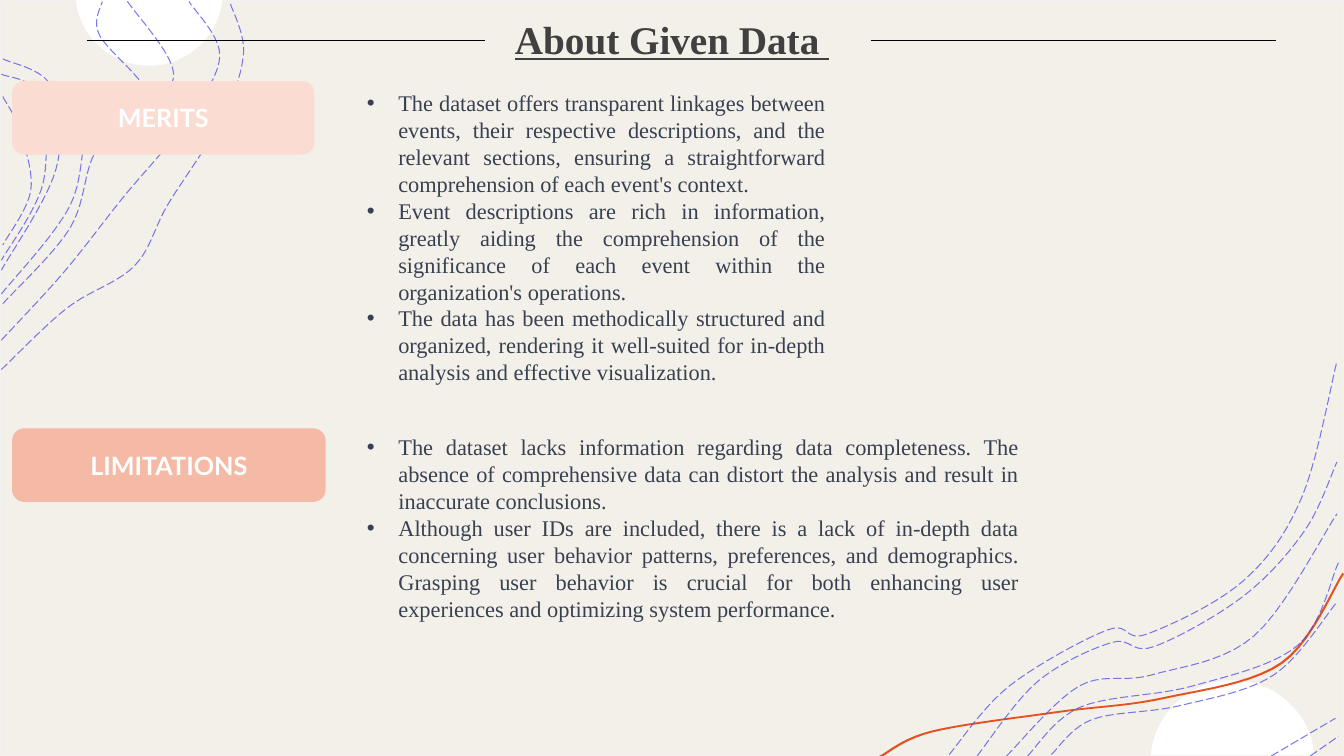
"""Build the slide on merits and limitations of the given data."""
from math import atan2, cos, pi, sin

from lxml.etree import SubElement
from pptx import Presentation
from pptx.dml.color import RGBColor
from pptx.enum.dml import MSO_LINE
from pptx.enum.shapes import MSO_CONNECTOR, MSO_SHAPE
from pptx.enum.text import MSO_ANCHOR, MSO_AUTO_SIZE, PP_ALIGN
from pptx.oxml.ns import qn
from pptx.util import Pt

WIDTH, HEIGHT = 960, 540
SERIF, SANS = "Times New Roman", "Lato"
COLORS = {
    "paper": "F3F0E9", "edge": "F2F2F2", "white": "FFFFFF", "black": "000000",
    "ribbon": "E45221", "contour": "4D4EE6", "title": "404040", "body": "374151",
    "merits": "FADCD3", "limitations": "F4BAA6",
}
TITLE = "About Given Data "
TITLE_BOX = (18, 15, 924, 52)
LABELS = [
    ("MERITS", "merits", (8.64, 57.9, 216, 52.5)),
    ("LIMITATIONS", "limitations", (8.64, 306, 224, 52.5)),
]
LISTS = [
    ([
        "The dataset offers transparent linkages between events, their respective descriptions, "
        "and the relevant sections, ensuring a straightforward comprehension of each event's context.",
        "Event descriptions are rich in information, greatly aiding the comprehension of the "
        "significance of each event within the organization's operations.",
        "The data has been methodically structured and organized, rendering it well-suited for "
        "in-depth analysis and effective visualization.",
    ], (262, 64, 327.6, 242.6), (0, 0)),
    ([
        "The dataset lacks information regarding data completeness. The absence of comprehensive "
        "data can distort the analysis and result in inaccurate conclusions.",
        "Although user IDs are included, there is a lack of in-depth data concerning user behavior "
        "patterns, preferences, and demographics. Grasping user behavior is crucial for both "
        "enhancing user experiences and optimizing system performance.",
    ], (254.9, 306, 480.2, 143.3), (7.2, 3.6)),
]
RULES = [(346.3, 62), (622, 911.5)]
RULE_TOP = 28.8
DISCS = [(106.5, 0, 52.3, 47), (880.5, 539.5, 58.5, -53.5)]
RIBBON = [(628, 540), (665, 522), (755, 508), (831, 498), (915, 473), (959, 409)]
RIBBON_SHIFT = (1, 1.2)
CONTOURS = [
    [(1, 264), (48, 220), (96, 190), (120, 146), (158, 86), (174, 38), (164, 1)],
    [(1, 243), (46, 194), (88, 141), (132, 88), (157, 40), (135, 1)],
    [(91, 1), (124, 52), (98, 86), (68, 109), (50, 163), (2, 217)],
    [(1, 210), (50, 147), (66, 83), (105, 68), (71, 25), (73, 1)],
    [(2, 42), (37, 62), (40, 121), (1, 193)],
    [(1, 53), (27, 68), (31, 130), (1, 186)],
    [(2, 69), (14, 93), (22, 136), (2, 175)],
    [(678, 539), (721, 490), (791, 450), (819, 453), (888, 415), (930, 355), (955, 258)],
    [(698, 540), (741, 487), (794, 459), (824, 462), (888, 426), (932, 379), (955, 330)],
    [(936, 540), (956, 526)],
    [(908, 540), (954, 513)],
    [(751, 539), (780, 514), (843, 504), (910, 482), (955, 430)],
    [(734, 540), (772, 505), (852, 490), (927, 461), (956, 402)],
    [(719, 540), (771, 490), (823, 482), (896, 454), (955, 367)],
]


def color(name):
    return RGBColor.from_string(COLORS[name])


def smooth_curve(anchors, steps=10):
    padded = [anchors[0], *anchors, anchors[-1]]
    points = [anchors[0]]
    for a, b, c, d in zip(padded, padded[1:], padded[2:], padded[3:]):
        for t in (step / steps for step in range(1, steps + 1)):
            points.append(tuple(
                q + t * (r - p) / 2 + t**2 * (2 * p - 5 * q + 4 * r - s) / 2
                + t**3 * (3 * q - p - 3 * r + s) / 2
                for p, q, r, s in zip(a, b, c, d)))
    return points


def disc_outline(center, edge, half_width, height, steps=40):
    radius = (half_width**2 + height**2) / (2 * abs(height))
    sign = 1 if height > 0 else -1
    middle = edge + height - sign * radius
    start = atan2(sign * (edge - middle), half_width)
    angles = [start + (pi - 2 * start) * step / steps for step in range(steps + 1)]
    return [(center + radius * cos(a), middle + sign * radius * sin(a)) for a in angles]


def add_outline(slide, points, fill=None):
    points = [(Pt(x), Pt(y)) for x, y in points]
    builder = slide.shapes.build_freeform(*points[0], scale=1.0)
    builder.add_line_segments(points[1:], close=fill is not None)
    shape = builder.convert_to_shape()
    shape.shadow.inherit = False
    if fill:
        shape.fill.solid()
        shape.fill.fore_color.rgb = color(fill)
        shape.line.fill.background()
    else:
        shape.fill.background()
        shape.line.color.rgb = color("contour")
        shape.line.width = Pt(0.75)
        shape.line.dash_style = MSO_LINE.LONG_DASH
        tint = shape.line._ln.find(".//" + qn("a:srgbClr"))
        SubElement(tint, qn("a:alpha")).set("val", "75000")


def add_box(slide, kind, box, fill, line=None):
    shape = slide.shapes.add_shape(kind, *map(Pt, box))
    shape.shadow.inherit = False
    shape.fill.solid()
    shape.fill.fore_color.rgb = color(fill)
    if line:
        shape.line.color.rgb = color(line)
        shape.line.width = Pt(1)
    else:
        shape.line.fill.background()
    return shape


def place(slide, shape, box):
    shape.left, shape.top, shape.width, shape.height = map(Pt, box)
    slide.shapes._spTree.append(shape._element)


def write(shape, texts, font, size, ink, bold=False, underline=False, align=PP_ALIGN.CENTER,
          anchor=MSO_ANCHOR.TOP, insets=(0, 0), spacing=1.0, hanging=0):
    frame = shape.text_frame
    frame.word_wrap = True
    frame.auto_size = MSO_AUTO_SIZE.NONE
    frame.vertical_anchor = anchor
    frame.margin_left = frame.margin_right = Pt(insets[0])
    frame.margin_top = frame.margin_bottom = Pt(insets[1])
    for index, text in enumerate(texts):
        paragraph = frame.add_paragraph() if index else frame.paragraphs[0]
        paragraph.alignment = align
        paragraph.line_spacing = spacing
        paragraph.space_before = paragraph.space_after = Pt(0)
        if hanging:
            properties = paragraph._p.get_or_add_pPr()
            properties.set("marL", str(Pt(hanging)))
            properties.set("indent", str(-Pt(hanging)))
        run = paragraph.add_run()
        run.text = text
        run.font.name, run.font.size = font, Pt(size)
        run.font.bold, run.font.underline = bold, underline
        run.font.color.rgb = color(ink)


def main():
    presentation = Presentation()
    presentation.slide_width, presentation.slide_height = Pt(WIDTH), Pt(HEIGHT)
    slide = presentation.slides.add_slide(presentation.slide_layouts[3])
    title, *bodies = list(slide.placeholders)
    add_box(slide, MSO_SHAPE.RECTANGLE, (0, 0, WIDTH, HEIGHT), "paper", "edge")
    for disc in DISCS:
        add_outline(slide, disc_outline(*disc), "white")
    upper = smooth_curve(RIBBON)
    lower = [(x + RIBBON_SHIFT[0], y + RIBBON_SHIFT[1]) for x, y in reversed(upper)]
    add_outline(slide, upper + lower, "ribbon")
    for contour in CONTOURS:
        add_outline(slide, smooth_curve(contour))
    place(slide, title, TITLE_BOX)
    write(title, [TITLE], SERIF, 28, "title", bold=True, underline=True, spacing=0.9)
    for text, fill, box in LABELS:
        label = add_box(slide, MSO_SHAPE.ROUNDED_RECTANGLE, box, fill)
        write(label, [text], SANS, 18, "white", bold=True, anchor=MSO_ANCHOR.MIDDLE)
    for body, (texts, box, insets) in zip(bodies, LISTS):
        place(slide, body, box)
        write(body, texts, SERIF, 16, "body", align=PP_ALIGN.JUSTIFY, insets=insets, hanging=22.5)
    for start, end in RULES:
        rule = slide.shapes.add_connector(
            MSO_CONNECTOR.STRAIGHT, Pt(start), Pt(RULE_TOP), Pt(end), Pt(RULE_TOP))
        rule.line.color.rgb = color("black")
        rule.line.width = Pt(0.5)
        SubElement(rule._element.spPr, qn("a:effectLst"))
    presentation.save("out.pptx")


if __name__ == "__main__":
    main()
